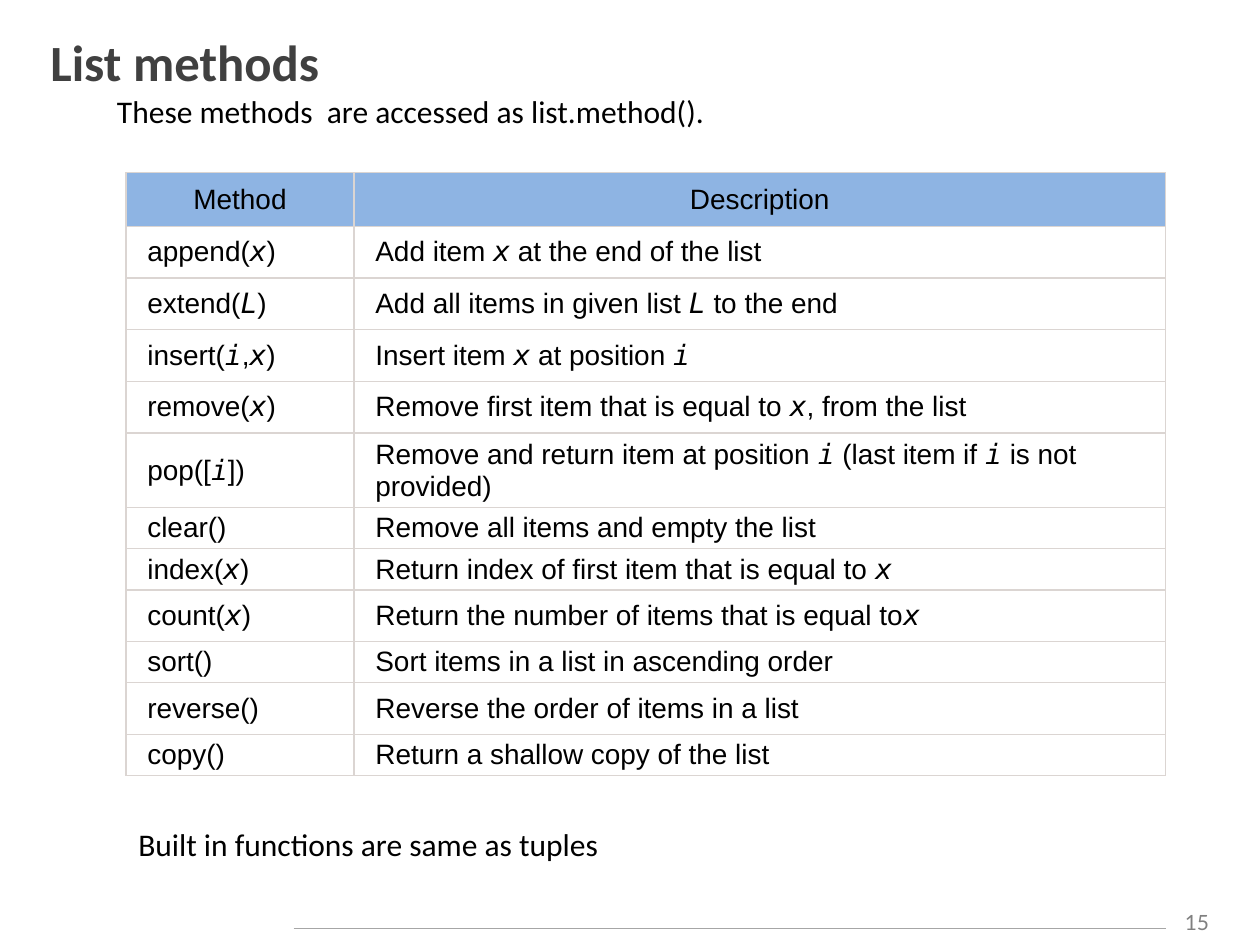
from lxml import etree
from pptx import Presentation
from pptx import util as u
from pptx.dml.color import RGBColor
from pptx.enum import shapes, text
from pptx.oxml import ns

HUES = {"title": "404040", "ink": "000000", "page": "808080", "rule": "A6A6A6",
        "head": "8EB4E3", "cell": "FFFFFF", "edge": "DBD5D2"}
ROWS = [
    ("Method", "Description", 0.36),
    ("append(*x*)", "Add item *x* at the end of the list", 0.41),
    ("extend(*L*)", "Add all items in given list *L* to the end", 0.41),
    ("insert(*i*,*x*)", "Insert item *x* at position *i*", 0.41),
    ("remove(*x*)", "Remove first item that is equal to *x*, from the list", 0.41),
    ("pop([*i*])", "Remove and return item at position *i* (last item if *i* is not provided)", 0.49),
    ("clear()", "Remove all items and empty the list", 0.29),
    ("index(*x*)", "Return index of first item that is equal to *x*", 0.29),
    ("count(*x*)", "Return the number of items that is equal to*x*", 0.41),
    ("sort()", "Sort items in a list in ascending order", 0.29),
    ("reverse()", "Reverse the order of items in a list", 0.41),
    ("copy()", "Return a shallow copy of the list", 0.29),
]
WIDTHS = (1.81, 6.44)
LEFT, MID = text.PP_ALIGN.LEFT, text.PP_ALIGN.CENTER


class Deck:
    def __init__(self, wide, high):
        self.prs = Presentation()
        self.prs.slide_width, self.prs.slide_height = u.Inches(wide), u.Inches(high)
        self.slide = self.prs.slides.add_slide(self.prs.slide_layouts[5])

    def tint(self, name):
        return RGBColor.from_string(HUES[name])

    def put(self, item, values):
        for key, value in values.items():
            setattr(item, key, value)

    def fill(self, para, words, size, hue, face, align=LEFT, bold=False):
        para.alignment = align
        for n, part in enumerate(words.split("*")):
            if part:
                run = para.add_run()
                run.text = part
                code = n % 2 == 1
                self.put(run.font, {"size": u.Pt(size), "bold": bold, "italic": code,
                                    "name": "DejaVu Sans Mono" if code else face})
                run.font.color.rgb = self.tint(hue)

    def title(self, words, *box):
        shape = self.slide.shapes.title
        self.put(shape, dict(zip(("left", "top", "width", "height"), map(u.Inches, box))))
        shape.text_frame.vertical_anchor = text.MSO_ANCHOR.MIDDLE
        self.fill(shape.text_frame.paragraphs[0], words, 29, "title", "Calibri", bold=True)

    def label(self, words, box, size=18, hue="ink", face="Calibri", align=LEFT, wrap=False):
        frame = self.slide.shapes.add_textbox(*map(u.Inches, box)).text_frame
        self.put(frame, {"word_wrap": wrap, "auto_size": text.MSO_AUTO_SIZE.SHAPE_TO_FIT_TEXT})
        self.fill(frame.paragraphs[0], words, size, hue, face, align)

    def rule(self, *ends):
        line = self.slide.shapes.add_connector(shapes.MSO_CONNECTOR.STRAIGHT, *map(u.Inches, ends))
        line.line.color.rgb = self.tint("rule")
        line.line.width = u.Pt(0.75)
        etree.SubElement(line._element.spPr, ns.qn("a:effectLst"))

    def edge(self, cell):
        props = cell._tc.get_or_add_tcPr()
        for side in ("lnL", "lnR", "lnT", "lnB"):
            line = etree.SubElement(props, ns.qn("a:" + side), w=str(u.Pt(0.75)))
            fill = etree.SubElement(line, ns.qn("a:solidFill"))
            etree.SubElement(fill, ns.qn("a:srgbClr"), val=HUES["edge"])

    def cell(self, cell, words, head):
        side, end = map(u.Inches, (0.05, 0.08) if head else (0.17, 0.03))
        self.put(cell, {"margin_left": side, "margin_right": side, "margin_top": end,
                        "margin_bottom": end, "vertical_anchor": text.MSO_ANCHOR.MIDDLE})
        self.edge(cell)
        cell.fill.solid()
        cell.fill.fore_color.rgb = self.tint("head" if head else "cell")
        self.fill(cell.text_frame.paragraphs[0], words, 16, "ink", "Arial", MID if head else LEFT)

    def table(self, left, top):
        size = sum(WIDTHS), sum(row[-1] for row in ROWS)
        grid = self.slide.shapes.add_table(len(ROWS), len(WIDTHS), *map(u.Inches, (left, top, *size))).table
        self.put(grid, {"first_row": False, "horz_banding": False})
        for col, width in zip(grid.columns, WIDTHS):
            col.width = u.Inches(width)
        for r, (*words, high) in enumerate(ROWS):
            grid.rows[r].height = u.Inches(high)
            for c, word in enumerate(words):
                self.cell(grid.cell(r, c), word, r == 0)


def main():
    deck = Deck(10, 7.5)
    deck.label("15", (9.25, 7.17, 0.5, 0.3), 12, "page", "Lato", MID, True)
    deck.rule(2.33, 7.37, 9.25, 7.37)
    deck.title("List methods", 0.3, 0.17, 9.36, 0.63)
    deck.table(1, 1.37)
    deck.label("These methods  are accessed as list.method().", (0.83, 0.68, 4.92, 0.4))
    deck.label("Built in functions are same as tuples", (1, 6.5, 3.9, 0.4))
    deck.prs.save("out.pptx")


if __name__ == "__main__":
    main()
